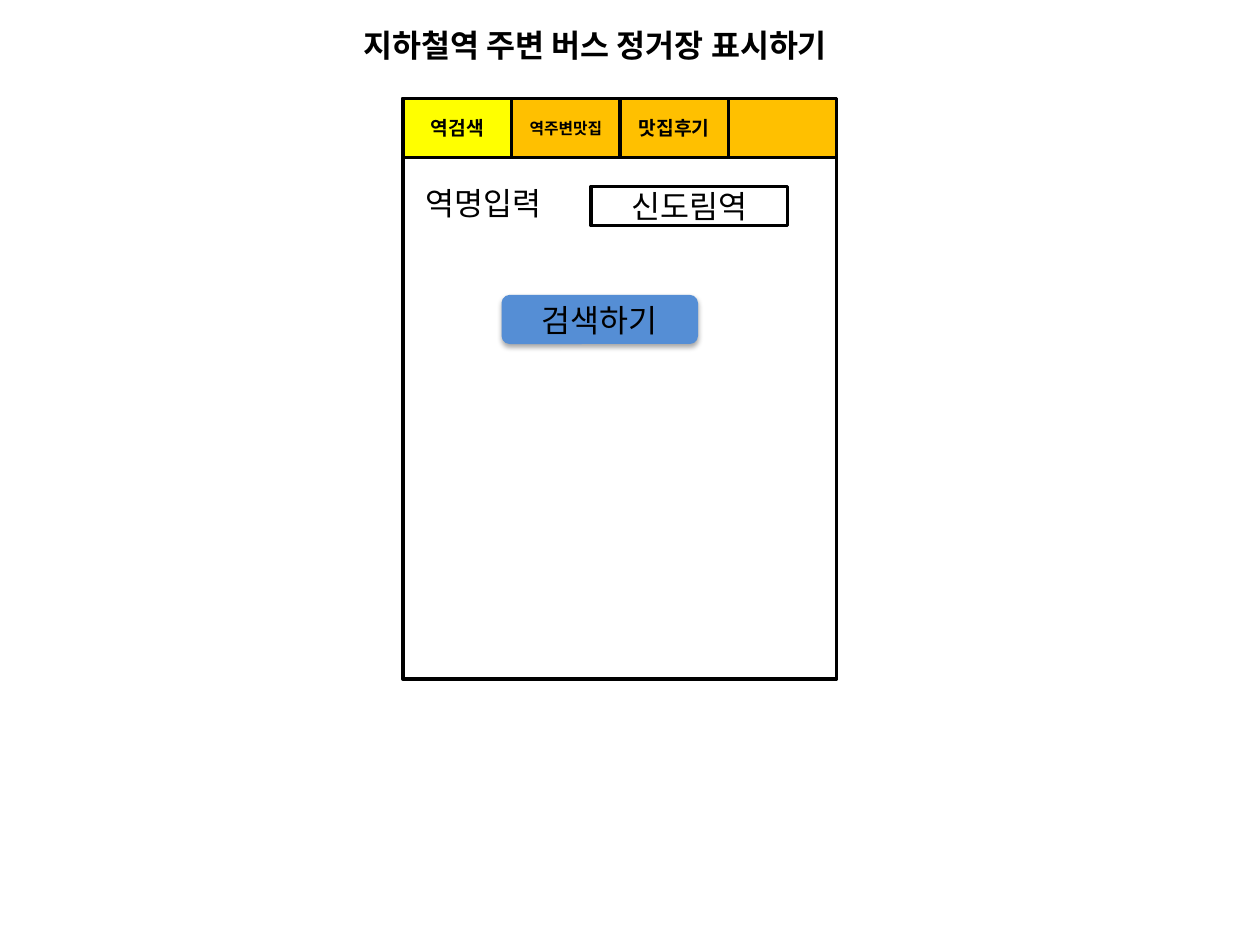
from lxml.etree import SubElement
from pptx import Presentation
from pptx.dml.color import RGBColor
from pptx.enum.shapes import MSO_SHAPE as Shape
from pptx.enum.text import MSO_ANCHOR as Anchor, MSO_AUTO_SIZE as AutoSize, PP_ALIGN as Align
from pptx.oxml.ns import qn
from pptx.util import Pt

FONT = "Noto Sans CJK KR"
COLORS = {
    "ink": "000000",
    "paper": "FFFFFF",
    "active": "FFFF00",
    "tab": "FFC000",
    "button": "558ED5",
}

TITLE = "지하철역 주변 버스 정거장 표시하기"
TABS = [  # label, size, fill
    ("역검색", 11, "active"),
    ("역주변맛집", 9, "tab"),
    ("맛집후기", 11, "tab"),
    ("", 11, "tab"),
]
FIELD_LABEL = "역명입력"
FIELD_VALUE = "신도림역"
BUTTON = "검색하기"

# left, top, width, height in points
TITLE_BOX = (90, 11.5, 500.4, 28.8)
SCREEN_BOX = (230.4, 56.2, 247.7, 331.9)
LABEL_BOX = (236.2, 101.5, 236.2, 28.8)
FIELD_BOX = (337.7, 106.6, 112.3, 22.3)
BUTTON_BOX = (286.6, 168.5, 112.3, 28.1)
TAB_HEIGHT = 33.8


def rgb(name):
    return RGBColor.from_string(COLORS[name])


def write(shape, text, size=18, bold=False, align=Align.CENTER, anchor=Anchor.MIDDLE):
    frame = shape.text_frame
    frame.word_wrap = True
    frame.vertical_anchor = anchor
    frame.text = text
    paragraph = frame.paragraphs[0]
    paragraph.alignment = align
    font = paragraph.font
    font.name, font.size, font.bold = FONT, Pt(size), bold
    font.color.rgb = rgb("ink")
    # Korean text takes the East Asian typeface, which follows the Latin one
    SubElement(paragraph._p.pPr.find(qn("a:defRPr")), qn("a:ea"), typeface=FONT)


def add_box(slide, box, fill=None, outlined=True, kind=Shape.RECTANGLE):
    shape = slide.shapes.add_shape(kind, *map(Pt, box))
    shape.shadow.inherit = False
    if fill:
        shape.fill.solid()
        shape.fill.fore_color.rgb = rgb(fill)
    else:
        shape.fill.background()
    if outlined:
        shape.line.color.rgb = rgb("ink")
        shape.line.width = Pt(2)
    else:
        shape.line.fill.background()
    return shape


def drop_shadow(shape, blur, distance, opacity):
    effects = shape._element.spPr.find(qn("a:effectLst"))
    shadow = SubElement(effects, qn("a:outerShdw"), blurRad=str(Pt(blur)),
                        dist=str(Pt(distance)), dir=str(90 * 60000), rotWithShape="0")
    color = SubElement(shadow, qn("a:srgbClr"), val=COLORS["ink"])
    SubElement(color, qn("a:alpha"), val=str(opacity * 1000))


def main():
    prs = Presentation()
    prs.slide_width, prs.slide_height = Pt(720), Pt(540)
    slide = prs.slides.add_slide(prs.slide_layouts[5])

    title = slide.shapes.title
    title.left, title.top, title.width, title.height = map(Pt, TITLE_BOX)
    write(title, TITLE, bold=True, anchor=Anchor.TOP)
    title.text_frame.auto_size = AutoSize.SHAPE_TO_FIT_TEXT

    add_box(slide, SCREEN_BOX)
    left, top, width, _ = SCREEN_BOX
    tab_width = width / len(TABS)
    for i, (label, size, fill) in enumerate(TABS):
        tab = add_box(slide, (left + i * tab_width, top, tab_width, TAB_HEIGHT), fill)
        if label:
            write(tab, label, size, bold=True)

    field_label = slide.shapes.add_textbox(*map(Pt, LABEL_BOX))
    write(field_label, FIELD_LABEL, align=Align.LEFT, anchor=Anchor.TOP)
    field_label.text_frame.auto_size = AutoSize.SHAPE_TO_FIT_TEXT

    write(add_box(slide, FIELD_BOX, "paper"), FIELD_VALUE)

    button = add_box(slide, BUTTON_BOX, "button", outlined=False, kind=Shape.ROUNDED_RECTANGLE)
    drop_shadow(button, blur=3.1, distance=1.8, opacity=35)
    write(button, BUTTON)

    prs.save("out.pptx")


if __name__ == "__main__":
    main()
